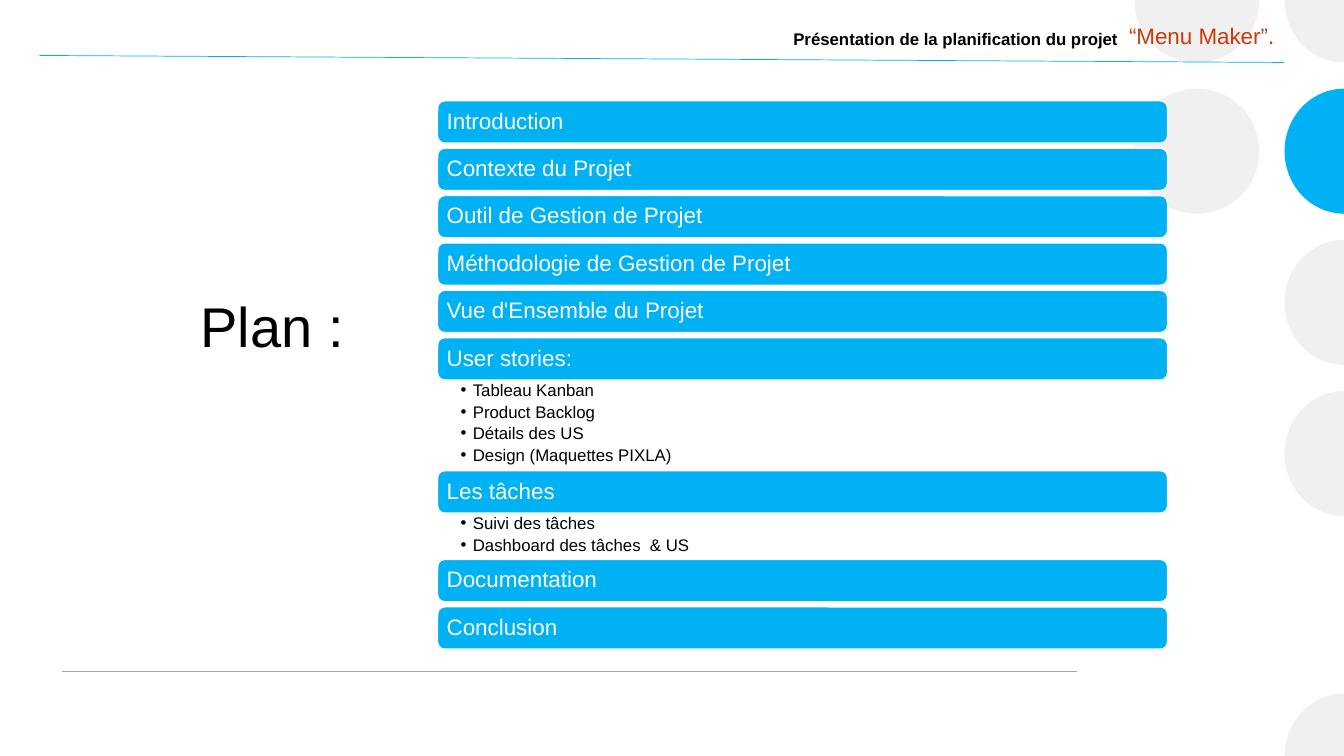
from dataclasses import dataclass

from lxml import etree
from pptx import Presentation
from pptx import util as u
from pptx.dml.color import RGBColor
from pptx.enum import shapes, text
from pptx.oxml.ns import qn
from pptx.shapes.base import BaseShape
from pptx.slide import Slide

PAGE_WIDTH, PAGE_HEIGHT = 13.33, 7.5


@dataclass(frozen=True)
class Theme:
    font: str = "Arial"
    blue: str = "00B2F3"
    pale: str = "EFF0EF"
    grey: str = "A6A6A6"
    accent: str = "C83A09"
    black: str = "000000"
    white: str = "FFFFFF"
    title_size: int = 40
    bar_size: int = 16
    small_size: int = 12


THEME = Theme()


@dataclass(frozen=True)
class Circle:
    x: float
    y: float
    color: str = THEME.pale


@dataclass(frozen=True)
class Rule:
    start: tuple[float, float]
    end: tuple[float, float]
    color: str
    width: float


@dataclass(frozen=True)
class Section:
    name: str
    items: tuple[str, ...] = ()
    items_height: float = 0


RADIUS, PITCH = 0.62, 1.5
INNER, EDGE = 11.87, 13.36
CIRCLES = [
    Circle(INNER, PITCH),
    Circle(INNER, 0),
    *(Circle(EDGE, PITCH * row) for row in (5, 3, 2)),
    Circle(EDGE, PITCH, THEME.blue),
    Circle(EDGE, 0),
]

RULES = [
    Rule((0.62, 6.66), (10.68, 6.66), THEME.grey, 1),
    Rule((12.74, 0.62), (0.39, 0.55), THEME.blue, 0.5),
]

LIST_LEFT, LIST_TOP, LIST_WIDTH = 4.34, 1, 7.24
BAR_HEIGHT, BAR_GAP = 0.42, 0.05
SECTIONS = [
    Section("Introduction"),
    Section("Contexte du Projet"),
    Section("Outil de Gestion de Projet"),
    Section("Méthodologie de Gestion de Projet"),
    Section("Vue d'Ensemble du Projet"),
    Section("User stories:", ("Tableau Kanban", "Product Backlog", "Détails des US",
                              "Design (Maquettes PIXLA)"), 0.9),
    Section("Les tâches", ("Suivi des tâches", "Dashboard des tâches  & US"), 0.46),
    Section("Documentation"),
    Section("Conclusion"),
]


def set_all(target: object, **values: object) -> None:
    for name, value in values.items():
        setattr(target, name, value)


def paint(shape: BaseShape, color: str) -> None:
    shape.shadow.inherit = False
    shape.fill.solid()
    shape.fill.fore_color.rgb = RGBColor.from_string(color)
    shape.line.fill.background()


def write(shape: BaseShape, lines: tuple[str, ...], size: int, color: str, *, bold: bool = False,
          spacing: float = 1, after: float = 0, bullet: bool = False, **frame: object) -> None:
    """Fill a shape with one paragraph per line; frame holds text frame settings."""
    box = shape.text_frame
    set_all(box, **{"word_wrap": True, "vertical_anchor": text.MSO_ANCHOR.TOP, **frame})
    for index, line in enumerate(lines):
        para = box.add_paragraph() if index else box.paragraphs[0]
        if bullet:
            props = para._p.get_or_add_pPr()
            indent = u.Inches(0.12)
            props.set("marL", str(indent))
            props.set("indent", str(-indent))
            etree.SubElement(props, qn("a:buFont")).set("typeface", THEME.font)
            etree.SubElement(props, qn("a:buChar")).set("char", "•")
        set_all(para, alignment=text.PP_ALIGN.LEFT, line_spacing=spacing, space_after=u.Pt(after))
        span = para.add_run()
        span.text = line
        set_all(span.font, name=THEME.font, size=u.Pt(size), bold=bold)
        span.font.color.rgb = RGBColor.from_string(color)


def add_cut_circle(page: Slide, circle: Circle) -> BaseShape:
    """Join the circle's extreme points that lie on the page by quarter arcs."""
    x = min(circle.x, PAGE_WIDTH)
    extremes = [(270, x, circle.y - RADIUS), (180, circle.x - RADIUS, circle.y),
                (90, x, circle.y + RADIUS), (0, circle.x + RADIUS, circle.y)]
    visible = [(angle, u.Inches(px), u.Inches(py)) for angle, px, py in extremes
               if px <= PAGE_WIDTH and 0 <= py <= PAGE_HEIGHT]
    points = [(px, py) for _, px, py in visible]
    corner = [(u.Inches(PAGE_WIDTH), u.Inches(circle.y))] if len(points) == 2 else []
    outline = page.shapes.build_freeform(*points[0])
    outline.add_line_segments(points[1:] + corner)
    shape = outline.convert_to_shape()
    segments = list(shape._element.iter(qn("a:lnTo")))
    for segment, (angle, x1, y1), (x2, y2) in zip(segments, visible, points[1:]):
        arc = etree.Element(qn("a:arcTo"), wR=str(abs(x2 - x1)), hR=str(abs(y2 - y1)),
                            stAng=str(angle * 60000), swAng=str(-90 * 60000))
        segment.getparent().replace(segment, arc)
    return shape


def add_circle(page: Slide, circle: Circle) -> None:
    if circle.x + RADIUS <= PAGE_WIDTH and circle.y >= RADIUS:
        shape = page.shapes.add_shape(
            shapes.MSO_SHAPE.OVAL, u.Inches(circle.x - RADIUS), u.Inches(circle.y - RADIUS),
            u.Inches(2 * RADIUS), u.Inches(2 * RADIUS))
    else:
        shape = add_cut_circle(page, circle)
    paint(shape, circle.color)


def add_rule(page: Slide, rule: Rule) -> None:
    ends = [u.Inches(value) for value in rule.start + rule.end]
    line = page.shapes.add_connector(shapes.MSO_CONNECTOR.STRAIGHT, *ends)
    line.line.color.rgb = RGBColor.from_string(rule.color)
    line.line.width = u.Pt(rule.width)
    etree.SubElement(line._element.spPr, qn("a:effectLst"))


def add_text(page: Slide, left: float, top: float, width: float, height: float) -> BaseShape:
    return page.shapes.add_textbox(
        u.Inches(left), u.Inches(top), u.Inches(width), u.Inches(height))


def add_section(page: Slide, section: Section, top: float) -> float:
    """Draw a bar with its sub-items and return the top of the next bar."""
    bar = page.shapes.add_shape(
        shapes.MSO_SHAPE.ROUNDED_RECTANGLE, u.Inches(LIST_LEFT), u.Inches(top),
        u.Inches(LIST_WIDTH), u.Inches(BAR_HEIGHT))
    paint(bar, THEME.blue)
    bar.line.color.rgb = RGBColor.from_string(THEME.white)
    bar.line.width = u.Pt(1)
    inset = u.Inches(0.07)
    write(bar, (section.name,), THEME.bar_size, THEME.white, spacing=0.9,
          vertical_anchor=text.MSO_ANCHOR.MIDDLE, margin_left=inset, margin_right=inset,
          margin_top=inset, margin_bottom=inset)
    bottom = top + BAR_HEIGHT
    if not section.items:
        return bottom + BAR_GAP
    box = add_text(page, LIST_LEFT, bottom, LIST_WIDTH, section.items_height)
    write(box, section.items, THEME.small_size, THEME.black, spacing=0.9, after=2.4, bullet=True,
          margin_left=u.Inches(0.23), margin_right=u.Inches(0.12),
          margin_top=u.Inches(0.02), margin_bottom=u.Inches(0.02))
    return bottom + section.items_height


def main() -> None:
    deck = Presentation()
    set_all(deck, slide_width=u.Inches(PAGE_WIDTH), slide_height=u.Inches(PAGE_HEIGHT))
    page = deck.slides.add_slide(deck.slide_layouts.get_by_name("Title Only"))

    title = page.shapes.title
    set_all(title, left=u.Inches(1.89), top=u.Inches(2.84),
            width=u.Inches(2.2), height=u.Inches(0.77))
    write(title, ("Plan :",), THEME.title_size, THEME.black,
          auto_size=text.MSO_AUTO_SIZE.SHAPE_TO_FIT_TEXT)

    for circle in CIRCLES:
        add_circle(page, circle)
    for rule in RULES:
        add_rule(page, rule)

    write(add_text(page, 7.77, 0.26, 3.63, 0.36), ("Présentation de la planification du projet",),
          THEME.small_size, THEME.black, bold=True, spacing=0.9)
    write(add_text(page, 11.1, 0.17, 1.74, 0.37), ("“Menu Maker”.",),
          THEME.bar_size, THEME.accent, auto_size=text.MSO_AUTO_SIZE.SHAPE_TO_FIT_TEXT)

    top = LIST_TOP
    for section in SECTIONS:
        top = add_section(page, section, top)

    deck.save("out.pptx")


if __name__ == "__main__":
    main()
